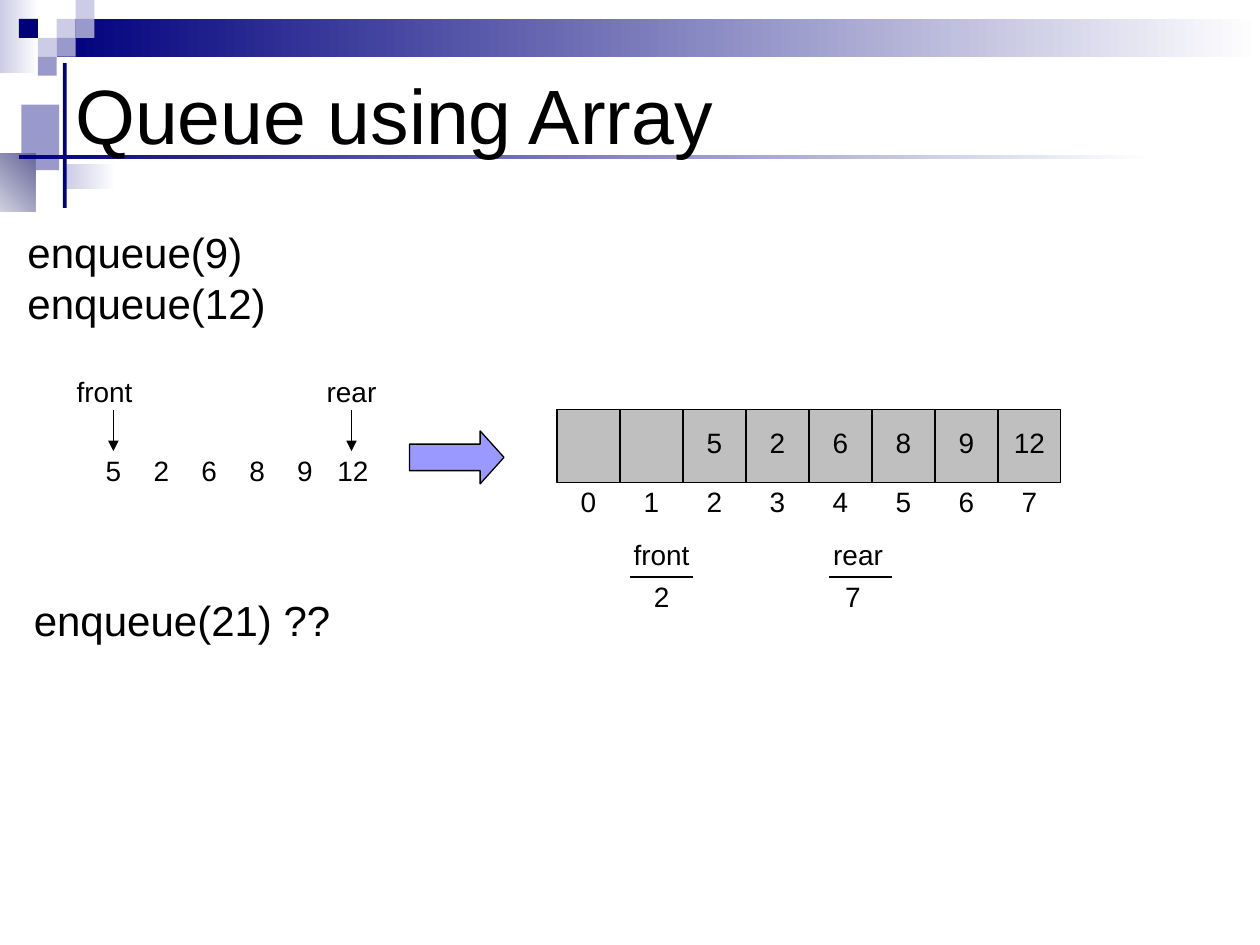
from dataclasses import dataclass

from lxml.etree import SubElement
from pptx import Presentation
from pptx.dml.color import RGBColor
from pptx.enum.shapes import MSO_CONNECTOR, MSO_SHAPE
from pptx.enum.text import MSO_ANCHOR, MSO_AUTO_SIZE, PP_ALIGN
from pptx.oxml.ns import qn
from pptx.slide import Slide
from pptx.util import Inches, Pt

BLACK = RGBColor(0x00, 0x00, 0x00)
WHITE = RGBColor(0xFF, 0xFF, 0xFF)
NAVY = RGBColor(0x00, 0x00, 0x7D)
SLATE = RGBColor(0x66, 0x66, 0x99)
LILAC = RGBColor(0x99, 0x99, 0xCC)
PALE = RGBColor(0xCC, 0xCC, 0xE6)
BLUE = RGBColor(0x99, 0x99, 0xFF)
GRAY = RGBColor(0xBF, 0xBF, 0xBF)


@dataclass
class Board:
    """Draws styled elements on one slide."""

    slide: Slide
    font: str = "Arial"
    size: int = 16
    ink: RGBColor = BLACK
    thin: float = 0.75

    def shape(self, x, y, w, h, fill, fade=None, angle=0, kind=MSO_SHAPE.RECTANGLE, edge=False):
        item = self.slide.shapes.add_shape(kind, Inches(x), Inches(y), Inches(w), Inches(h))
        item.shadow.inherit = False
        if fade is None:
            item.fill.solid()
            item.fill.fore_color.rgb = fill
        else:
            item.fill.gradient()
            item.fill.gradient_angle = angle
            for stop, color in zip(item.fill.gradient_stops, (fill, fade)):
                stop.color.rgb = color
        if edge:
            item.line.color.rgb = self.ink
            item.line.width = Pt(self.thin)
        else:
            item.line.fill.background()
        return item

    def line(self, x1, y1, x2, y2, arrow=False):
        item = self.slide.shapes.add_connector(
            MSO_CONNECTOR.STRAIGHT, Inches(x1), Inches(y1), Inches(x2), Inches(y2))
        item.line.color.rgb = self.ink
        item.line.width = Pt(self.thin)
        if arrow:
            SubElement(item.line._get_or_add_ln(), qn("a:tailEnd"), type="triangle")
        SubElement(item._element.spPr, qn("a:effectLst"))

    def text(self, text, x, y, w, h, size=None, align=PP_ALIGN.LEFT,
             anchor=MSO_ANCHOR.TOP, wrap=False):
        box = self.slide.shapes.add_textbox(Inches(x), Inches(y), Inches(w), Inches(h))
        frame = box.text_frame
        frame.word_wrap = wrap
        frame.auto_size = MSO_AUTO_SIZE.NONE if wrap else MSO_AUTO_SIZE.SHAPE_TO_FIT_TEXT
        frame.vertical_anchor = anchor
        frame.text = text
        for para in frame.paragraphs:
            para.alignment = align
            for run in para.runs:
                run.font.name = self.font
                run.font.size = Pt(size or self.size)
                run.font.color.rgb = self.ink

    def label(self, text, mid, y, w=0.32):
        self.text(text, mid - w / 2, y, w, 0.37, align=PP_ALIGN.CENTER)

    def row(self, items, mid, y, step):
        for i, item in enumerate(items):
            self.label(str(item), mid + i * step, y, 0.32 if item < 10 else 0.45)


def frame(board):
    board.shape(0, 0, 0.31, 0.58, PALE, WHITE)
    board.shape(0.45, 0.15, 9.55, 0.3, NAVY, WHITE)
    tiles = [(3, 1, PALE), (4, 0, PALE), (4, 1, LILAC), (2, 2, PALE),
             (1, 1, NAVY), (3, 2, LILAC), (2, 3, LILAC)]
    for col, row, color in tiles:
        board.shape(col * 0.15, row * 0.15, 0.15, 0.15, color)
    board.shape(0.17, 0.83, 0.3, 0.52, LILAC)
    board.shape(0.52, 1.3, 0.4, 0.2, PALE, WHITE)
    board.shape(-0.33, 1.22, 0.61, 0.46, WHITE, SLATE, angle=45)
    board.shape(0.5, 0.5, 0.03, 1.15, NAVY)
    board.shape(0.15, 1.23, 9, 0.03, NAVY, WHITE)


def queue(board, items):
    board.row(items, 0.9, 3.55, 0.38)
    for name, mid, tip in (("front", 0.83, 0.9), ("rear", 2.79, 2.79)):
        board.label(name, mid, 2.92, 0.65)
        board.line(tip, 3.25, tip, 3.58, arrow=True)
    arrow = board.shape(3.25, 3.42, 0.75, 0.42, BLUE, kind=MSO_SHAPE.RIGHT_ARROW, edge=True)
    arrow.adjustments[1] = 0.45


def array(board, items, count=8, left=4.42, step=0.5):
    board.shape(left, 3.25, count * step, 0.58, GRAY, edge=True)
    for i in range(1, count):
        board.line(left + i * step, 3.25, left + i * step, 3.83)
    mid = left + step / 2
    board.row(range(count), mid, 3.8, step)
    board.row(items, mid + 2 * step, 3.33, step)
    for name, at, value, spot, start in (("front", 5.25, 2, 5.25, 5),
                                         ("rear", 6.81, 7, 6.77, 6.58)):
        board.label(name, at, 4.22, 0.65)
        board.line(start, 4.58, start + step, 4.58)
        board.label(str(value), spot, 4.55)


def main():
    deck = Presentation()
    deck.slide_width, deck.slide_height = Inches(10), Inches(7.5)
    board = Board(deck.slides.add_slide(deck.slide_layouts[6]))
    items = [5, 2, 6, 8, 9, 12]
    frame(board)
    board.text("Queue using Array", 0.5, 0.4, 9, 1, size=44, anchor=MSO_ANCHOR.MIDDLE, wrap=True)
    board.text("enqueue(9)\nenqueue(12)", 0.12, 1.75, 2.1, 0.9, size=24)
    queue(board, items)
    array(board, items)
    board.text("enqueue(21) ??", 0.17, 4.67, 2.56, 0.5, size=24)
    deck.save("out.pptx")


if __name__ == "__main__":
    main()
